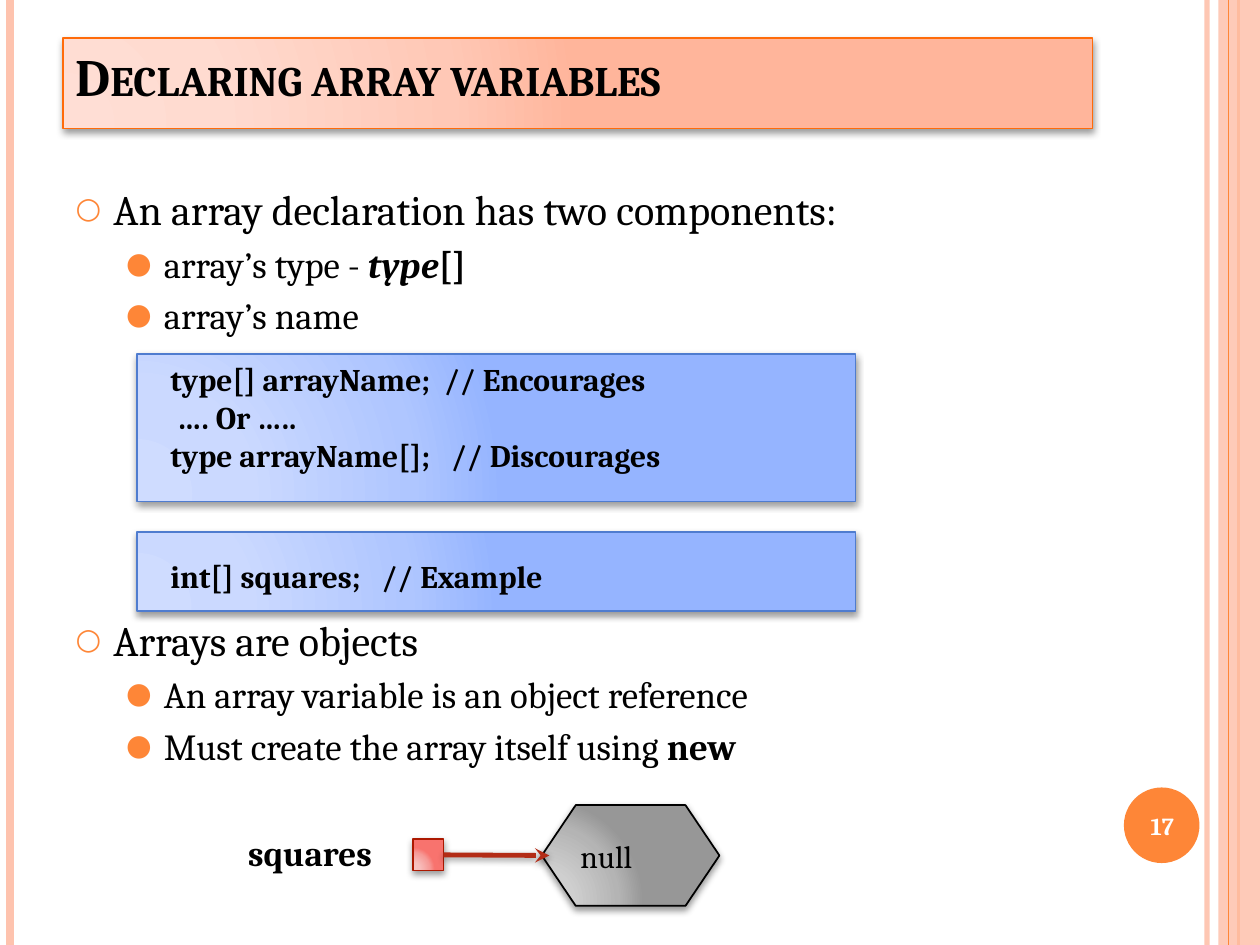
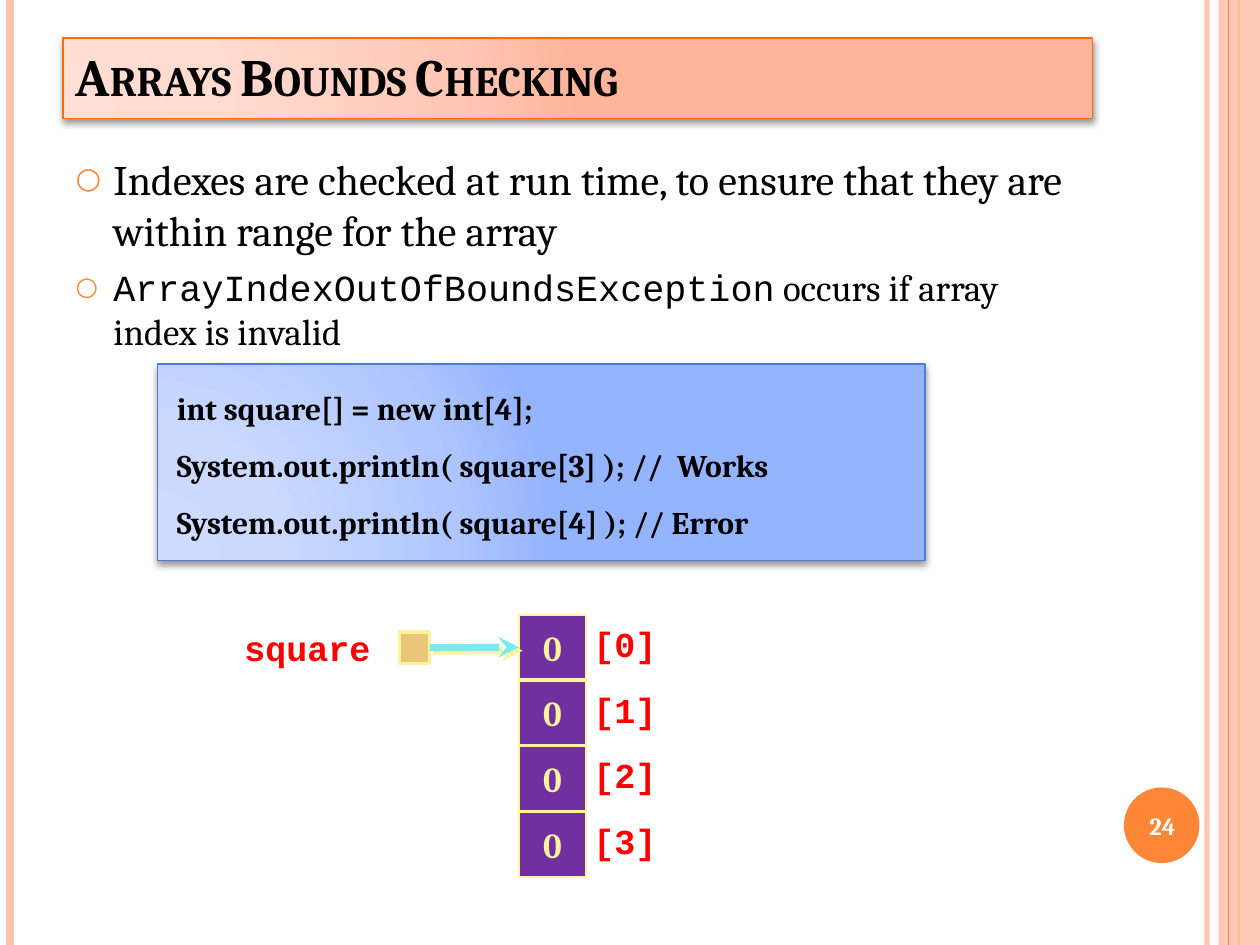
from collections import namedtuple
from dataclasses import dataclass

from lxml import etree
from pptx import Presentation
from pptx import util as u
from pptx.dml.color import RGBColor
from pptx.enum import shapes, text
from pptx.oxml.ns import qn

Box = namedtuple("Box", "x y w h")
Gradient = namedtuple("Gradient", "stops line")
Shadow = namedtuple("Shadow", "color alpha blur dist angle")
Bullet = namedtuple("Bullet", "char scale margin")


@dataclass(frozen=True)
class Theme:
    font: str = "Cambria"
    mono: str = "Courier New"
    ink: str = "000000"
    white: str = "FFFFFF"
    orange: str = "FE8637"
    peach: str = "FEC3AE"
    red: str = "FF0000"
    dark_red: str = "B32C16"
    cream: str = "FFF39D"
    sand: str = "EAC67B"
    purple: str = "7030A0"
    aqua: str = "7BEAEA"
    title_size: int = 30
    body_size: int = 24
    sub_size: int = 21
    label_size: int = 20
    code_size: int = 18
    page_size: int = 14
    title_fill: Gradient = Gradient(("FFDED5", "FFDBD0", "FFC8B6", "FFB59B"), "FF6B0A")
    code_fill: Gradient = Gradient(("CFDCFF", "CBD9FF", "AFC6FF", "95B4FF"), "4F7CCF")
    null_fill: Gradient = Gradient(("D3D3D3", "CFCFCF", "B4B4B4", "979797"), "000000")
    ref_fill: Gradient = Gradient(("F8C5C3", "F8BFBD", "F69B98", "F8736E"), "AC1800")
    shadow: Shadow = Shadow("000000", 40, 4, 2, 90)
    arrow_shadow: Shadow = Shadow("000000", 42, 4, 1.6, 90)
    cream_shadow: Shadow = Shadow("FFF39D", 100, 0, 2.8, 45)
    top_bullet: Bullet = Bullet("○", 70, 0.3)
    sub_bullet: Bullet = Bullet("●", 80, 0.7)


T = Theme()
RECT = shapes.MSO_SHAPE.RECTANGLE


# XML helpers
def sub(parent, tag, **attrs):
    return etree.SubElement(parent, qn(tag), {k: str(v) for k, v in attrs.items()})


def fade(sp, percent):
    for color in list(sp.element.spPr.iter(qn("a:srgbClr"))):
        sub(color, "a:alpha", val=percent * 1000)


def add_shadow(sp, shadow):
    sp_pr = sp.element.spPr
    effects = sp_pr.find(qn("a:effectLst"))
    if effects is None:
        effects = sub(sp_pr, "a:effectLst")
    outer = sub(effects, "a:outerShdw", blurRad=u.Pt(shadow.blur), dist=u.Pt(shadow.dist),
                dir=shadow.angle * 60000, rotWithShape=0)
    color = sub(outer, "a:srgbClr", val=shadow.color)
    sub(color, "a:alpha", val=shadow.alpha * 1000)


def set_gradient(sp, gradient):
    sp.fill.background()
    sp_pr = sp.element.spPr
    grad = etree.Element(qn("a:gradFill"), rotWithShape="1")
    stops = sub(grad, "a:gsLst")
    for pos, color in zip((0, 30, 75, 100), gradient.stops):
        sub(sub(stops, "a:gs", pos=pos * 1000), "a:srgbClr", val=color)
    sub(sub(grad, "a:path", path="circle"), "a:fillToRect",
        l=5000, t=100000, r=120000, b=10000)
    sp_pr.replace(sp_pr.find(qn("a:noFill")), grad)
    set_line(sp.line, gradient.line, 1)
    sp.shadow.inherit = False
    add_shadow(sp, T.shadow)


# Drawing helpers
def set_line(line, color, width):
    line.color.rgb = RGBColor.from_string(color)
    line.width = u.Pt(width)


def place(sp, box):
    sp.left, sp.top, sp.width, sp.height = map(u.Inches, box)


def add_run(p, words, size, color=T.ink, font=T.font, bold=False, italic=False):
    r = p.add_run()
    r.text = words
    r.font.size, r.font.name = u.Pt(size), font
    r.font.bold, r.font.italic = bold, italic
    r.font.color.rgb = RGBColor.from_string(color)
    return r


def add_figure(s, kind, box, fill, line=None, width=1):
    sp = s.shapes.add_shape(kind, *map(u.Inches, box))
    if isinstance(fill, Gradient):
        set_gradient(sp, fill)
        return sp
    sp.shadow.inherit = False
    sp.fill.solid()
    sp.fill.fore_color.rgb = RGBColor.from_string(fill)
    if line:
        set_line(sp.line, line, width)
    else:
        sp.line.fill.background()
    return sp


def add_line(s, x1, y1, x2, y2, color, width):
    c = s.shapes.add_connector(shapes.MSO_CONNECTOR.STRAIGHT, *map(u.Inches, (x1, y1, x2, y2)))
    set_line(c.line, color, width)
    sub(c.element.spPr, "a:effectLst")
    return c


def add_arrow(s, x1, y1, x2, y2, color, width, shadow):
    c = add_line(s, x1, y1, x2, y2, color, width)
    sub(c.element.spPr.find(qn("a:ln")), "a:tailEnd", type="stealth")
    add_shadow(c, shadow)
    return c


def add_label(s, box, words, size, align=text.PP_ALIGN.LEFT, wrap=False,
              anchor=text.MSO_ANCHOR.TOP, **style):
    tf = s.shapes.add_textbox(*map(u.Inches, box)).text_frame
    tf.word_wrap, tf.vertical_anchor = wrap, anchor
    p = tf.paragraphs[0]
    p.alignment = align
    add_run(p, words, size, bold=True, **style)


# Side bands and page disc, drawn once and moved to the layout
def build_frame(s, layout, box):
    right = box.x + box.w
    bottom = box.y + box.h
    parts = []
    for x, color, width in ((right - 0.42, T.peach, 3), (box.x + 0.08, T.peach, 4.5),
                            (right - 0.17, T.orange, 1.5), (right - 0.25, T.orange, 0.75)):
        parts.append(add_line(s, x, box.y, x, bottom, color, width))
    fade(parts[0], 93)
    band = add_figure(s, RECT, Box(right - 0.33, box.y, 0.33, box.h), T.peach)
    fade(band, 87)
    parts.insert(3, band)
    parts.append(add_figure(s, shapes.MSO_SHAPE.OVAL,
                            Box(right - 1.08, bottom - 1.25, 0.6, 0.6), T.orange))
    for i, part in enumerate(parts):
        part.element.xpath(".//p:cNvPr")[0].set("id", str(100 + i))
        layout.shapes.element.insert(2 + i, part.element)


# Title band
def build_title(s, box, words):
    title = s.shapes.title
    place(title, box)
    set_gradient(title, T.title_fill)
    tf = title.text_frame
    tf.auto_size = text.MSO_AUTO_SIZE.NONE
    tf.vertical_anchor = text.MSO_ANCHOR.TOP
    p = tf.paragraphs[0]
    p.alignment = text.PP_ALIGN.LEFT
    r = add_run(p, words, T.title_size, bold=True)
    r.font._element.set("cap", "small")


# Bulleted list: items are (level, bullet, space before, runs)
def build_list(s, box, items):
    body = s.placeholders[1]
    place(body, box)
    tf = body.text_frame
    tf.auto_size = text.MSO_AUTO_SIZE.NONE
    for i, (level, bullet, before, runs) in enumerate(items):
        p = tf.add_paragraph() if i else tf.paragraphs[0]
        p.level = level
        p.space_before = u.Pt(before)
        p_pr = p._p.get_or_add_pPr()
        p_pr.set("marL", str(u.Inches(bullet.margin)))
        p_pr.set("indent", str(u.Inches(-0.3)))
        sub(sub(p_pr, "a:buClr"), "a:srgbClr", val=T.orange)
        sub(p_pr, "a:buSzPct", val=bullet.scale * 1000)
        sub(p_pr, "a:buFont", typeface=T.font)
        sub(p_pr, "a:buChar", char=bullet.char)
        for words, style in runs:
            add_run(p, words, T.sub_size if level else T.body_size, **style)


# Code panel
def build_code(s, box, lines, spacing=1.0):
    tf = add_figure(s, RECT, box, T.code_fill).text_frame
    tf.word_wrap = True
    tf.vertical_anchor = text.MSO_ANCHOR.TOP
    for i, line in enumerate(lines):
        p = tf.add_paragraph() if i else tf.paragraphs[0]
        p.alignment = text.PP_ALIGN.LEFT
        p.line_spacing = spacing
        add_run(p, line, T.code_size, bold=True)


# Variable that refers to null
def build_null_reference(s, box):
    middle = box.y + box.h / 2
    null = add_figure(s, shapes.MSO_SHAPE.HEXAGON,
                      Box(box.x + box.w - 1.41, box.y, 1.41, box.h), T.null_fill)
    null.adjustments[0] = 0.337
    tf = null.text_frame
    tf.word_wrap = False
    tf.vertical_anchor = text.MSO_ANCHOR.MIDDLE
    p = tf.paragraphs[0]
    p.alignment = text.PP_ALIGN.LEFT
    add_run(p, "null", T.code_size)
    add_label(s, Box(box.x, box.y + 0.16, 1.35, 0.43), "squares", T.label_size, wrap=True)
    ref = add_figure(s, RECT, Box(box.x + 1.41, middle - 0.13, 0.24, 0.25), T.ref_fill)
    arrow = add_arrow(s, box.x + 1.65, middle, box.x + 2.49, middle,
                      T.dark_red, 2.75, T.arrow_shadow)
    arrow.begin_connect(ref, 3)


# Variable that refers to a column of indexed cells
def build_array(s, box, values):
    pitch = box.h / len(values)
    cell_h = pitch - 0.01
    cell_x = box.x + 2.28
    cells = []
    for i, value in enumerate(values):
        y = box.y + i * pitch
        cell = add_figure(s, RECT, Box(cell_x, y, 0.53, cell_h), T.purple, T.cream)
        tf = cell.text_frame
        tf.word_wrap = False
        tf.vertical_anchor = text.MSO_ANCHOR.MIDDLE
        p = tf.paragraphs[0]
        p.alignment = text.PP_ALIGN.CENTER
        add_run(p, value, T.label_size, T.cream, bold=True)
        add_label(s, Box(cell_x + 0.49, y + 0.01, 0.7, 0.43), f"[{i}]", T.label_size,
                  text.PP_ALIGN.CENTER, color=T.red, font=T.mono)
        cells.append(cell)
    middle = box.y + cell_h / 2
    add_label(s, Box(box.x, box.y + 0.04, 1.38, 0.43), "square", T.label_size,
              color=T.red, font=T.mono)
    ref = add_figure(s, RECT, Box(box.x + 1.33, middle - 0.12, 0.24, 0.25),
                     T.sand, T.cream, 2)
    arrow = add_arrow(s, box.x + 1.57, middle, cell_x, middle, T.aqua, 4, T.cream_shadow)
    arrow.begin_connect(ref, 3)
    arrow.end_connect(cells[0], 1)


def build_page_number(s, number):
    add_label(s, Box(8.89, 6.27, 0.67, 0.57), str(number), T.page_size,
              text.PP_ALIGN.CENTER, True, text.MSO_ANCHOR.MIDDLE, color=T.white)


def build_declaring(s):
    build_title(s, Box(0.5, 0.3, 8.17, 0.72), "Declaring array variables")
    top, point = T.top_bullet, T.sub_bullet
    build_list(s, Box(0.5, 1.41, 8.17, 5.67), [
        (0, top, 0, [("An array declaration has two components:", {})]),
        (1, point, 4.2, [("array’s type - ", {}), ("type", {"bold": True, "italic": True}),
                         ("[]", {"bold": True})]),
        (1, point, 4.2, [("array’s name", {})]),
        (0, top, 158.4, [("Arrays are objects", {})]),
        (1, point, 4.2, [("An array variable is an object reference", {})]),
        (1, point, 4.2, [("Must create the array itself using ", {}),
                         ("new", {"bold": True})]),
    ])
    build_code(s, Box(1.09, 2.81, 5.7, 1.17), [
        "   type[] arrayName;  // Encourages",
        "    …. Or …..",
        "   type arrayName[];   // Discourages",
    ])
    build_code(s, Box(1.09, 4.22, 5.7, 0.63), ["   int[] squares;   // Example"], 1.5)
    build_null_reference(s, Box(1.87, 6.39, 3.84, 0.8))
    build_page_number(s, 17)


def build_bounds(s):
    build_title(s, Box(0.5, 0.3, 8.17, 0.64), "Arrays Bounds Checking")
    build_list(s, Box(0.5, 1.17, 8.17, 5.91), [
        (0, T.top_bullet, 0, [("Indexes are checked at run time, to ensure that they are "
                               "within range for the array", {})]),
        (1, T.top_bullet, 6, [("ArrayIndexOutOfBoundsException", {"font": T.mono}),
                              (" occurs if array index is invalid", {})]),
    ])
    build_code(s, Box(1.25, 2.89, 6.09, 1.56), [
        " int square[] = new int[4];",
        " System.out.println( square[3] ); //  Works",
        " System.out.println( square[4] ); // Error",
    ], 1.5)
    build_array(s, Box(1.84, 4.88, 3.47, 2.09), ["0"] * 4)
    build_page_number(s, 24)


def main():
    prs = Presentation()
    prs.slide_width, prs.slide_height = u.Inches(10), u.Inches(7.5)
    layout = prs.slide_layouts[1]
    declaring, bounds = (prs.slides.add_slide(layout) for _ in range(2))
    build_frame(declaring, layout, Box(0, 0, 10, 7.5))
    build_declaring(declaring)
    build_bounds(bounds)
    prs.save("out.pptx")


if __name__ == "__main__":
    main()
